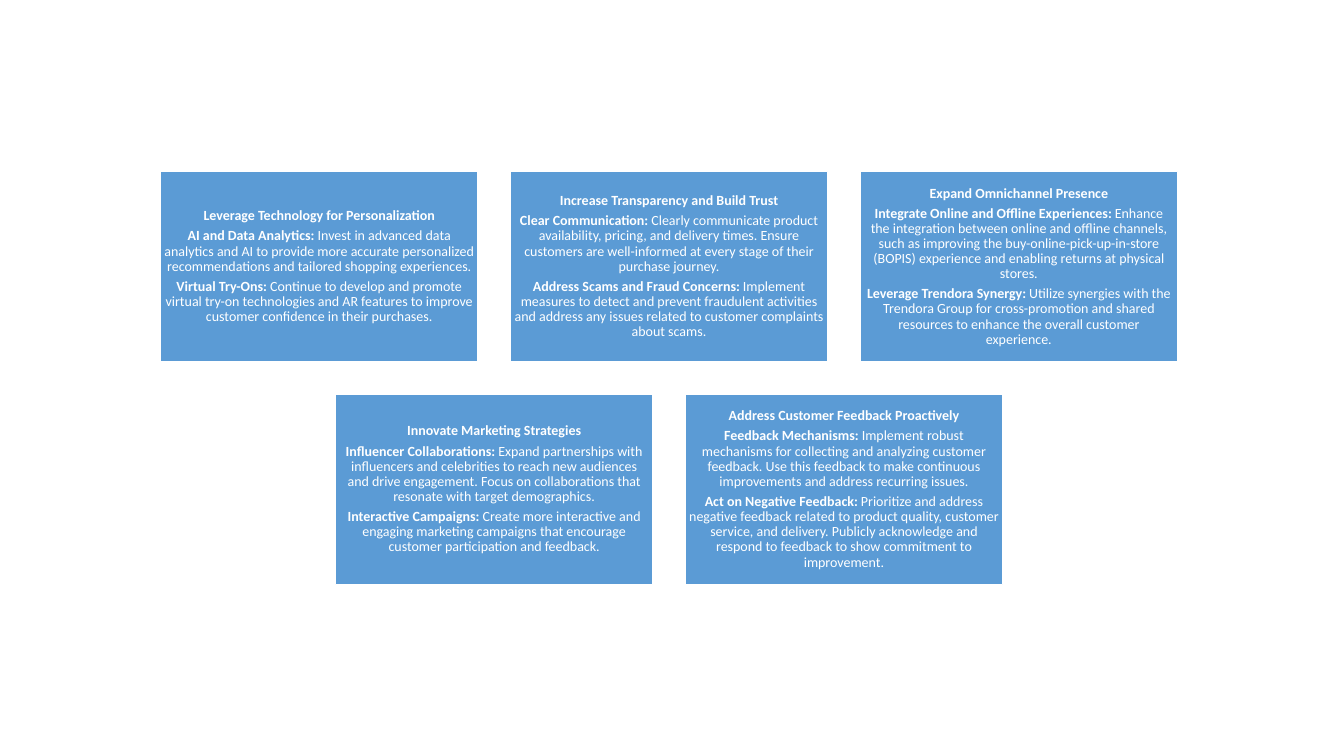
from pptx import Presentation
from pptx.dml.color import RGBColor
from pptx.enum.shapes import MSO_SHAPE as Shape
from pptx.enum.text import MSO_ANCHOR as Anchor, PP_ALIGN as Align
from pptx.util import Inches, Pt

BLUE = RGBColor(0x5B, 0x9B, 0xD5)
WHITE = RGBColor(0xFF, 0xFF, 0xFF)

MID, TOP = 6.635, 1.7
WIDE, HIGH = 3.15, 1.89
GAP = 0.32

ROWS = [
    [
        ("Leverage Technology for Personalization", [
            ("AI and Data Analytics:", "Invest in advanced data analytics and AI to provide more "
             "accurate personalized recommendations and tailored shopping experiences."),
            ("Virtual Try-Ons:", "Continue to develop and promote virtual try-on technologies "
             "and AR features to improve customer confidence in their purchases."),
        ]),
        ("Increase Transparency and Build Trust", [
            ("Clear Communication:", "Clearly communicate product availability, pricing, and "
             "delivery times. Ensure customers are well-informed at every stage of their "
             "purchase journey."),
            ("Address Scams and Fraud Concerns:", "Implement measures to detect and prevent "
             "fraudulent activities and address any issues related to customer complaints "
             "about scams."),
        ]),
        ("Expand Omnichannel Presence", [
            ("Integrate Online and Offline Experiences:", "Enhance the integration between "
             "online and offline channels, such as improving the buy-online-pick-up-in-store "
             "(BOPIS) experience and enabling returns at physical stores."),
            ("Leverage Trendora Synergy:", "Utilize synergies with the Trendora Group for "
             "cross-promotion and shared resources to enhance the overall customer experience."),
        ]),
    ],
    [
        ("Innovate Marketing Strategies", [
            ("Influencer Collaborations:", "Expand partnerships with influencers and celebrities "
             "to reach new audiences and drive engagement. Focus on collaborations that "
             "resonate with target demographics."),
            ("Interactive Campaigns:", "Create more interactive and engaging marketing campaigns "
             "that encourage customer participation and feedback."),
        ]),
        ("Address Customer Feedback Proactively", [
            ("Feedback Mechanisms:", "Implement robust mechanisms for collecting and analyzing "
             "customer feedback. Use this feedback to make continuous improvements and address "
             "recurring issues."),
            ("Act on Negative Feedback:", "Prioritize and address negative feedback related to "
             "product quality, customer service, and delivery. Publicly acknowledge and respond "
             "to feedback to show commitment to improvement."),
        ]),
    ],
]


def write(para, text, font="Calibri", size=10, color=WHITE, bold=False):
    run = para.add_run()
    run.text = text
    run.font.name = font
    run.font.size = Pt(size)
    run.font.color.rgb = color
    run.font.bold = bold


class Deck:
    def __init__(self):
        self.prs = Presentation()
        self.prs.slide_width = Inches(13.33)
        self.prs.slide_height = Inches(7.5)
        self.slide = self.prs.slides.add_slide(self.prs.slide_layouts[6])
        self.fill, self.line = BLUE, WHITE

    def para(self, frame, first=False):
        """Return a centred paragraph, reusing the frame's own one when first."""
        para = frame.paragraphs[0] if first else frame.add_paragraph()
        para.alignment = Align.CENTER
        para.line_spacing = 0.9
        para.space_after = Pt(3.5)
        return para

    def card(self, left, top, head, points):
        box = self.slide.shapes.add_shape(
            Shape.RECTANGLE, Inches(left), Inches(top), Inches(WIDE), Inches(HIGH))
        box.shadow.inherit = False
        box.fill.solid()
        box.fill.fore_color.rgb = self.fill
        box.line.color.rgb = self.line
        box.line.width = Pt(1)
        frame = box.text_frame
        frame.word_wrap = True
        frame.vertical_anchor = Anchor.MIDDLE
        frame.margin_left = frame.margin_right = Inches(0.04)
        frame.margin_top = frame.margin_bottom = Inches(0.04)
        write(self.para(frame, first=True), head, bold=True)
        for label, body in points:
            para = self.para(frame)
            write(para, label, bold=True)
            write(para, " " + body)

    def row(self, top, cards):
        """Place the cards side by side, centred on MID."""
        step = WIDE + GAP
        start = MID - (len(cards) * step - GAP) / 2
        for col, (head, points) in enumerate(cards):
            self.card(start + col * step, top, head, points)


def main():
    deck = Deck()
    for num, cards in enumerate(ROWS):
        deck.row(TOP + num * (HIGH + GAP), cards)
    deck.prs.save("out.pptx")


if __name__ == "__main__":
    main()
